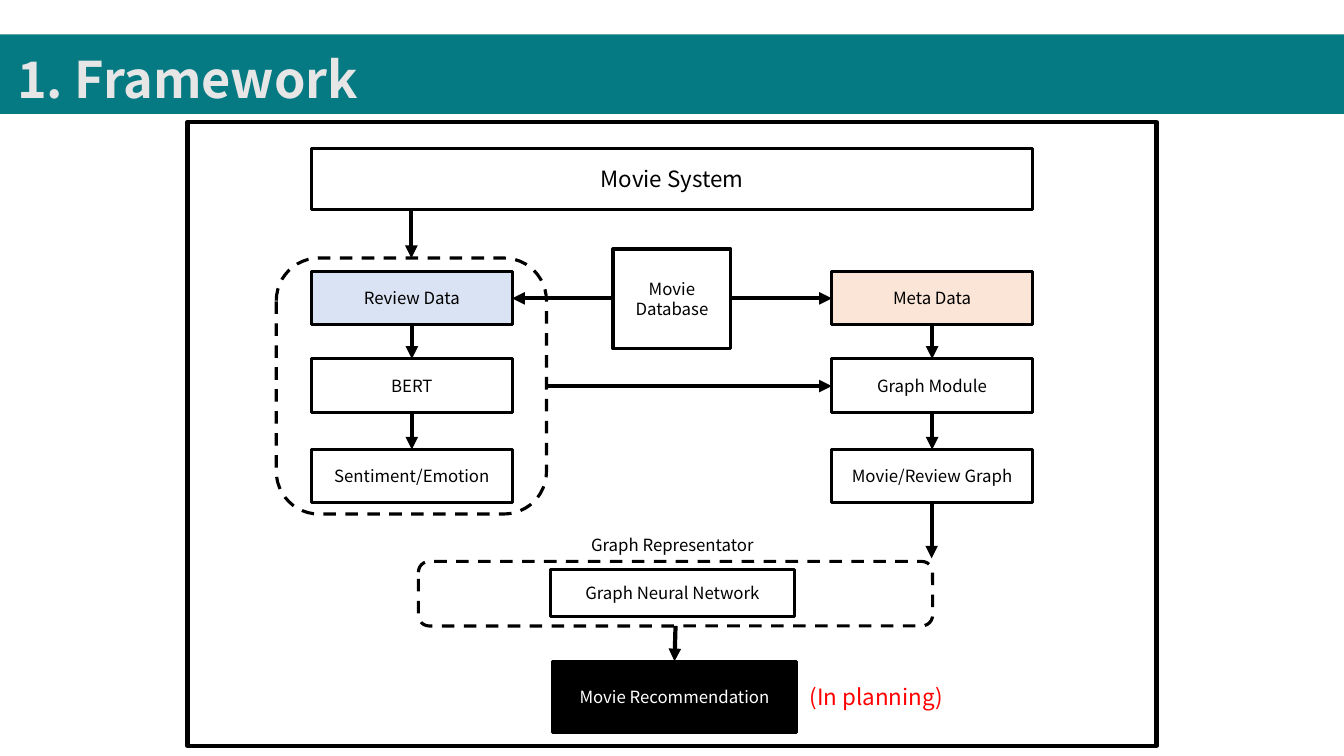
from lxml import etree
from pptx import Presentation
from pptx import util as u
from pptx.dml.color import RGBColor
from pptx.enum import dml, shapes, text
from pptx.oxml.ns import qn

FONT = "Noto Sans CJK KR"
TEAL = RGBColor(0x06, 0x7A, 0x82)
LIGHT_GRAY = RGBColor(0xE7, 0xE6, 0xE6)
BLACK = RGBColor(0, 0, 0)
WHITE = RGBColor(0xFF, 0xFF, 0xFF)
RED = RGBColor(0xFF, 0, 0)
BLUE = RGBColor(0xDA, 0xE3, 0xF3)
PEACH = RGBColor(0xFB, 0xE5, 0xD6)

# Flow columns: left edge, fill of the data box, labels from top to bottom
COLUMN_W, ROW_H = 1.99, 0.53
REVIEW_X, META_X = 3.09, 8.25
ROW_TOPS = (2.69, 3.56, 4.46)
COLUMNS = (
    (REVIEW_X, BLUE, ("Review Data", "BERT", "Sentiment/Emotion")),
    (META_X, PEACH, ("Meta Data", "Graph Module", "Movie/Review Graph")),
)


def write(sp, words, size, color, align=text.PP_ALIGN.CENTER, bold=False):
    tf = sp.text_frame
    tf.word_wrap = True
    tf.text = words
    p = tf.paragraphs[0]
    p.alignment = align
    font = p.runs[0].font
    font.name, font.size, font.bold = FONT, u.Pt(size), bold
    font.color.rgb = color
    return p


def add_box(slide, x, y, w, h, words="", size=12, color=BLACK, fill=None,
            line=2.25, dashed=False):
    kind = shapes.MSO_SHAPE.ROUNDED_RECTANGLE if dashed else shapes.MSO_SHAPE.RECTANGLE
    sp = slide.shapes.add_shape(kind, *map(u.Inches, (x, y, w, h)))
    sp.shadow.inherit = False
    if fill is None:
        sp.fill.background()
    else:
        sp.fill.solid()
        sp.fill.fore_color.rgb = fill
    if line:
        sp.line.color.rgb = BLACK
        sp.line.width = u.Pt(line)
        if dashed:
            sp.line.dash_style = dml.MSO_LINE.DASH
    else:
        sp.line.fill.background()
    if words:
        sp.text_frame.vertical_anchor = text.MSO_ANCHOR.MIDDLE
        write(sp, words, size, color)
    return sp


def add_arrow(slide, x1, y1, x2, y2):
    c = slide.shapes.add_connector(shapes.MSO_CONNECTOR.STRAIGHT,
                                   *map(u.Inches, (x1, y1, x2, y2)))
    c.line.color.rgb = BLACK
    c.line.width = u.Pt(3)
    etree.SubElement(c.line._get_or_add_ln(), qn("a:tailEnd"), type="triangle")
    etree.SubElement(c._element.spPr, qn("a:effectLst"))


def add_label(slide, x, y, w, h, words, size, color):
    sp = slide.shapes.add_textbox(*map(u.Inches, (x, y, w, h)))
    write(sp, words, size, color)


def add_title(slide, words):
    band = add_box(slide, 0, 0.34, 13.33, 0.79, fill=TEAL, line=0)
    title = slide.shapes.title
    title._element.addprevious(band._element)
    title.left, title.top, title.width, title.height = map(
        u.Inches, (0.07, 0.17, 13.27, 0.92))
    p = write(title, words, 36, LIGHT_GRAY, text.PP_ALIGN.LEFT, bold=True)
    p.line_spacing = 1.5
    title.text_frame.vertical_anchor = text.MSO_ANCHOR.MIDDLE
    title.text_frame.auto_size = text.MSO_AUTO_SIZE.SHAPE_TO_FIT_TEXT


def add_column(slide, x, fill, labels):
    middle = x + COLUMN_W / 2
    for i, (y, words) in enumerate(zip(ROW_TOPS, labels)):
        add_box(slide, x, y, COLUMN_W, ROW_H, words, fill=None if i else fill)
        if i:
            add_arrow(slide, middle, ROW_TOPS[i - 1] + ROW_H, middle, y)


def main():
    prs = Presentation()
    prs.slide_width, prs.slide_height = u.Inches(13.33), u.Inches(7.5)
    slide = prs.slides.add_slide(prs.slide_layouts[5])
    add_title(slide, "1. Framework")

    # Source system and the two data columns
    add_box(slide, REVIEW_X, 1.47, 7.15, 0.61, "Movie System", size=16)
    for column in COLUMNS:
        add_column(slide, *column)
    add_box(slide, 2.74, 2.56, 2.68, 2.54, dashed=True)
    add_box(slide, 6.08, 2.47, 1.17, 0.99, "Movie Database")

    # Links between the parts
    add_arrow(slide, 4.08, 2.08, 4.08, 2.56)
    add_arrow(slide, 6.08, 2.96, REVIEW_X + COLUMN_W, 2.96)
    add_arrow(slide, 7.25, 2.96, META_X, 2.96)
    add_arrow(slide, 5.42, 3.83, META_X, 3.83)
    add_arrow(slide, 9.24, 4.99, 9.24, 5.54)

    # Graph representation and recommendation
    add_label(slide, 5.4, 5.26, 2.54, 0.27, "Graph Representator", 12, BLACK)
    add_box(slide, 5.46, 5.65, 2.42, 0.47, "Graph Neural Network")
    add_box(slide, 4.15, 5.57, 5.1, 0.64, dashed=True)
    add_arrow(slide, 6.7, 6.21, 6.69, 6.56)
    add_box(slide, 5.48, 6.56, 2.42, 0.71, "Movie Recommendation",
            color=WHITE, fill=BLACK)
    add_label(slide, 7.89, 6.73, 1.6, 0.37, "(In planning)", 16, RED)

    # Outer frame
    add_box(slide, 1.86, 1.21, 9.61, 6.19, line=3)
    prs.save("out.pptx")


if __name__ == "__main__":
    main()
